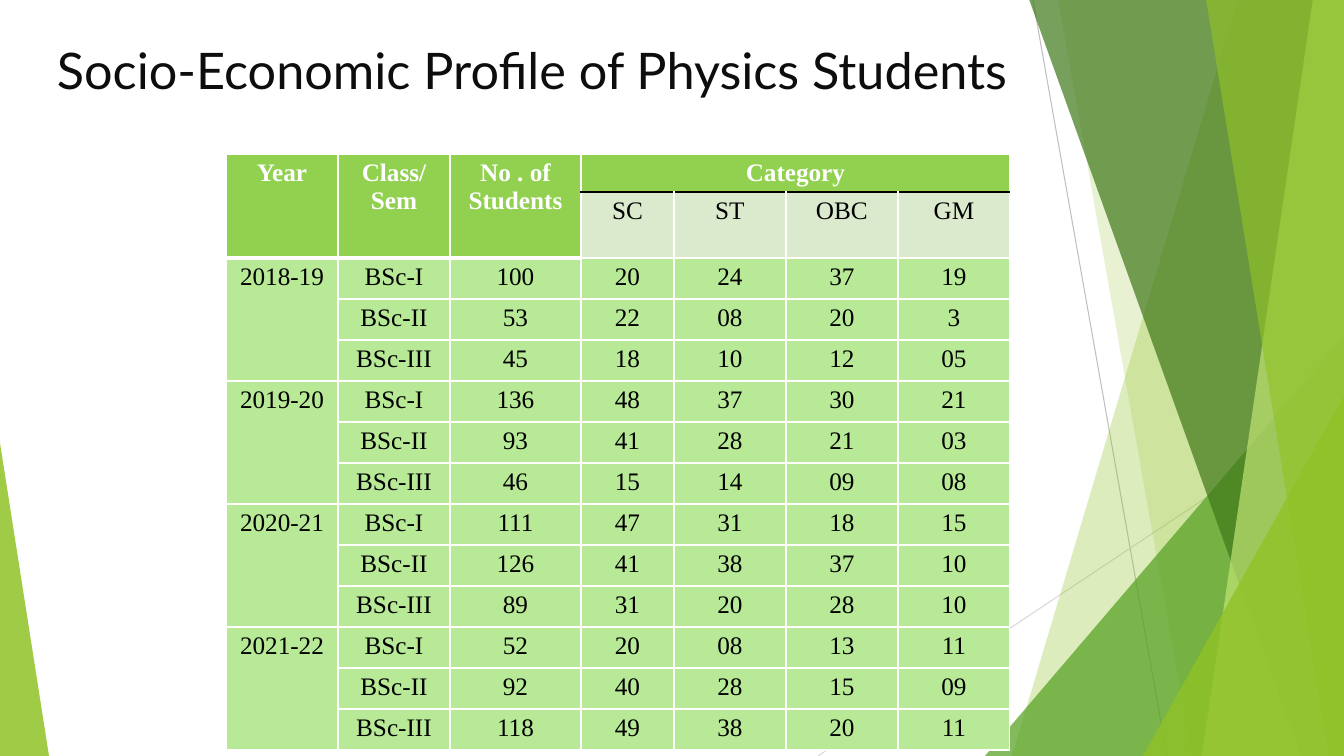
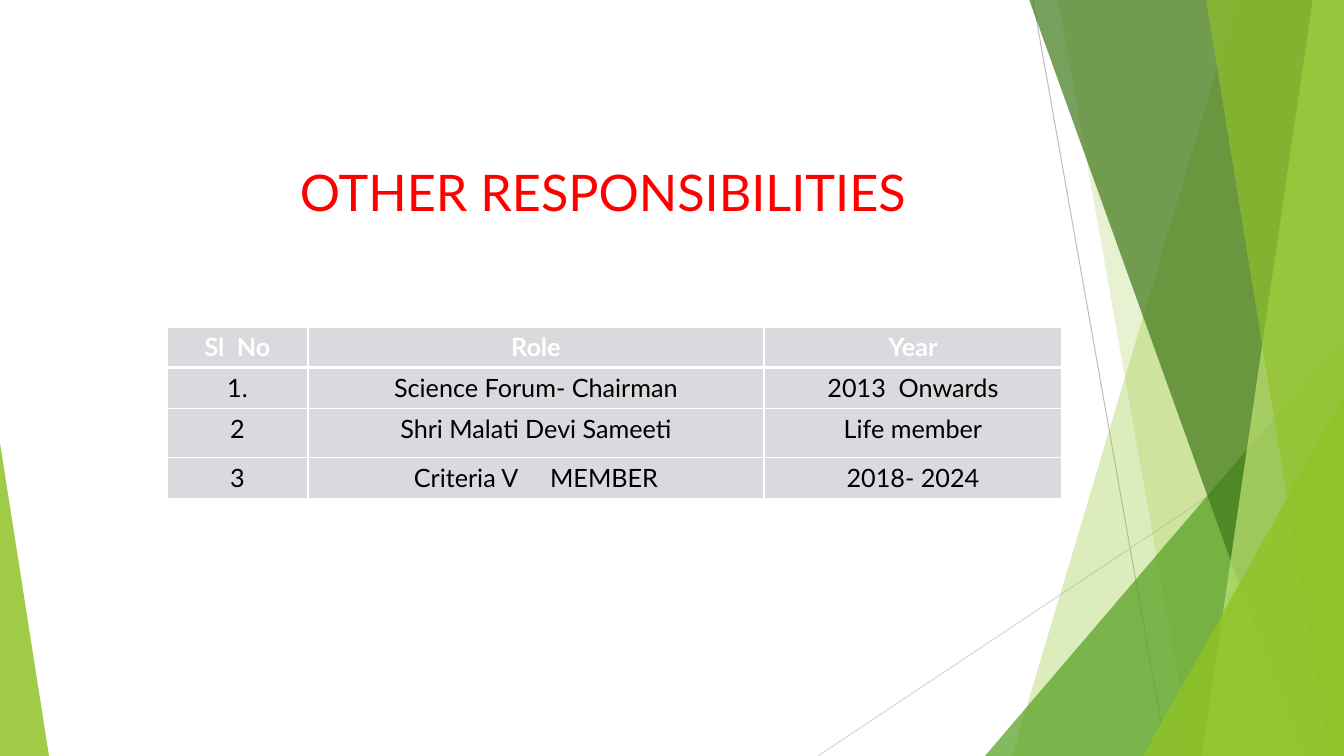
"""Builds two slides, a student profile and a list of responsibilities, on a shared green layout."""
from dataclasses import dataclass

from pptx import Presentation
from pptx.dml.color import RGBColor
from pptx.enum.shapes import MSO_CONNECTOR as Connector, MSO_SHAPE as Preset
from pptx.enum.text import MSO_ANCHOR as Anchor, MSO_AUTO_SIZE as AutoSize, PP_ALIGN as Align
from pptx.oxml.ns import qn
from pptx.oxml.xmlchemy import OxmlElement
from pptx.util import Pt

PX = 914400 / 100.8
WIDTH, HEIGHT = 1344, 756


@dataclass(frozen=True)
class Theme:
    white: str = "FFFFFF"
    black: str = "000000"
    ink: str = "0D0D0D"
    red: str = "FF0000"
    lime: str = "90C226"
    leaf: str = "54A021"
    forest: str = "3F7819"
    pale_lime: str = "C0E474"
    header_green: str = "92D050"
    category_green: str = "DBE9CD"
    body_green: str = "B7E996"
    grey: str = "DAD9DD"
    sans: str = "Lato"
    serif: str = "Times New Roman"
    title_size: int = 36
    table_size: int = 18
    thin: int = 1
    thick: int = 3
    hairline: float = 0.75


THEME = Theme()

RAYS = [
    ((1033, 0), (1167, HEIGHT), "BFBFBF"),
    ((WIDTH, 406), (818, HEIGHT), "D9D9D9"),
]
FACETS = [
    ("ribbon", (1238, 1012), THEME.lime, 30),
    ("ribbon", (1058, 1192), THEME.lime, 20),
    ("right corner", (985, 336, 359, 420), THEME.leaf, 72),
    ("ribbon", (1029, 1301), THEME.forest, 70),
    ("ribbon", (1313, 1202), THEME.pale_lime, 70),
    ("ribbon", (1206, 1329), THEME.lime, 65),
    ("right corner", (1143, 396, 201, 360), THEME.lime, 80),
    ("left corner", (0, 443, 49, 313), THEME.lime, 85),
]

CLASSES = ["BSc-I", "BSc-II", "BSc-III"]
STUDENTS = {
    "2018-19": ["100 20 24 37 19", "53 22 08 20 3", "45 18 10 12 05"],
    "2019-20": ["136 48 37 30 21", "93 41 28 21 03", "46 15 14 09 08"],
    "2020-21": ["111 47 31 18 15", "126 41 38 37 10", "89 31 20 28 10"],
    "2021-22": ["52 20 08 13 11", "92 40 28 15 09", "118 49 38 20 11"],
}
PROFILE_HEAD = [
    ["Year", "Class/ Sem", "No . of Students", "Category", "", "", ""],
    ["", "", "", "SC", "ST", "OBC", "GM"],
]
PROFILE = {
    "title": "Socio-Economic Profile of Physics Students",
    "title_box": (47, 34, 1012, 77),
    "title_color": THEME.ink,
    "title_inset": 10,
    "table_at": (226, 154),
    "columns": [112, 112, 131, 93, 112, 112, 112],
    "heights": [38, 66] + [41] * 12,
    "rows": PROFILE_HEAD + [
        [year if i == 0 else "", CLASSES[i]] + counts.split()
        for year, terms in STUDENTS.items() for i, counts in enumerate(terms)
    ],
    "merges": [(0, column, 1, column) for column in range(3)] + [(0, 3, 0, 6)]
    + [(row, 0, row + 2, 0) for row in range(2, 14, 3)],
    "head_rows": 2,
    "sub_head_from": 3,
    "font": THEME.serif,
    "head_fill": THEME.header_green,
    "body_fill": THEME.body_green,
}
RESPONSIBILITIES = {
    "title": "OTHER RESPONSIBILITIES",
    "title_box": (163, 156, 917, 82),
    "title_color": THEME.red,
    "title_inset": 137,
    "table_at": (167, 327),
    "columns": [141, 456, 298],
    "heights": [39, 41, 49, 41],
    "rows": [
        [("Sl", 4.5, "No"), "Role", "Year"],
        ["1.", "Science Forum- Chairman", ("2013", 4.5, "Onwards")],
        ["2", "Shri Malati Devi Sameeti", "Life member"],
        ["3", ("Criteria V", 18, "MEMBER"), "2018- 2024"],
    ],
    "merges": [],
    "head_rows": 1,
    "sub_head_from": None,
    "font": THEME.sans,
    "head_fill": THEME.grey,
    "body_fill": THEME.grey,
}


def px(*lengths):
    return [round(length * PX) for length in lengths]


def rgb(color):
    return RGBColor.from_string(color)


def apply(target, formats):
    for key, value in formats.items():
        setattr(target, key, value)


def style_font(font, name, size, color, bold=False):
    apply(font, {"name": name, "size": Pt(size), "bold": bold})
    font.color.rgb = rgb(color)


def add_ray(shapes, start, end, color):
    ray = shapes.add_connector(Connector.STRAIGHT, *px(*start, *end))
    ray.line.color.rgb = rgb(color)
    ray.line.width = Pt(THEME.hairline)
    ray.element.spPr.append(OxmlElement("a:effectLst"))


def add_facet(shapes, kind, place, color, opacity):
    if kind == "ribbon":
        top, bottom = place
        outline = shapes.build_freeform(top, -1, scale=PX)
        outline.add_line_segments([(WIDTH, -1), (WIDTH, HEIGHT), (bottom, HEIGHT)], close=True)
        facet = outline.convert_to_shape()
    else:
        facet = shapes.add_shape(Preset.ISOSCELES_TRIANGLE, *px(*place))
        facet.adjustments[0] = 1 if kind == "right corner" else 0
    facet.shadow.inherit = False
    facet.line.fill.background()
    facet.fill.solid()
    facet.fill.fore_color.rgb = rgb(color)
    alpha = OxmlElement("a:alpha")
    alpha.set("val", str(opacity * 1000))
    facet.element.spPr.find(qn("a:solidFill"))[0].append(alpha)


def decorate_layout(layout, slide):
    """Draws the backdrop on a slide and moves it behind the layout placeholders."""
    kept = set(slide.shapes.element)
    for ray in RAYS:
        add_ray(slide.shapes, *ray)
    for facet in FACETS:
        add_facet(slide.shapes, *facet)
    backdrop = [part for part in slide.shapes.element if part not in kept]
    for i, part in enumerate(backdrop):
        part.xpath(".//p:cNvPr")[0].set("id", str(100 + i))
        layout.shapes.element.insert(2 + i, part)


def fill_title(title, content):
    left, top, width, height = px(*content["title_box"])
    apply(title, {"left": left, "top": top, "width": width, "height": height})
    frame = title.text_frame
    frame.text = content["title"]
    apply(frame, {"word_wrap": True, "auto_size": AutoSize.NONE, "vertical_anchor": Anchor.TOP,
                  "margin_left": px(content["title_inset"])[0]})
    frame.paragraphs[0].alignment = Align.LEFT
    style_font(frame.paragraphs[0].runs[0].font, THEME.sans, THEME.title_size, content["title_color"])


def add_borders(cell, edges):
    for side, (color, width) in edges.items():
        edge = OxmlElement("a:ln" + side)
        edge.set("w", str(Pt(width)))
        fill, tint = OxmlElement("a:solidFill"), OxmlElement("a:srgbClr")
        tint.set("val", color)
        fill.append(tint)
        edge.append(fill)
        cell._tc.get_or_add_tcPr().append(edge)


def write_cell(cell, text, *font_format):
    paragraph = cell.text_frame.paragraphs[0]
    paragraph.alignment = Align.CENTER
    first, gap, second = text if isinstance(text, tuple) else (text, 0, "")
    for words in (first, " ", second) if gap else (first,):
        run = paragraph.add_run()
        run.text = words
        style_font(run.font, *font_format)
        if words == " ":
            run.font._element.set("spc", str(round(gap * 100)))


def cell_look(content, row, column):
    """Returns the fill, text colour, boldness and borders for one table position."""
    head_rows, sub_from = content["head_rows"], content["sub_head_from"]
    under_category = sub_from is not None and column >= sub_from
    edges = dict.fromkeys("LRTB", (THEME.white, THEME.thin))
    if row >= head_rows:
        if row == head_rows and not under_category:
            edges["T"] = (THEME.white, THEME.thick)
        return content["body_fill"], THEME.black, False, edges
    if under_category:
        edges["B" if row == 0 else "T"] = (THEME.black, THEME.thin)
        if row > 0:
            return THEME.category_green, THEME.black, False, edges
    else:
        edges["B"] = (THEME.white, THEME.thick)
    return content["head_fill"], THEME.white, True, edges


def add_grid(shapes, content):
    columns, heights, rows = content["columns"], content["heights"], content["rows"]
    box = px(*content["table_at"], sum(columns), sum(heights))
    table = shapes.add_table(len(rows), len(columns), *box).table
    table.horz_banding = False
    for column, width in zip(table.columns, px(*columns)):
        column.width = width
    for row, height in zip(table.rows, px(*heights)):
        row.height = height
    for r, texts in enumerate(rows):
        for c, text in enumerate(texts):
            cell = table.cell(r, c)
            fill, color, bold, edges = cell_look(content, r, c)
            add_borders(cell, edges)
            cell.fill.solid()
            cell.fill.fore_color.rgb = rgb(fill)
            if text:
                write_cell(cell, text, content["font"], THEME.table_size, color, bold)
    for top, left, bottom, right in content["merges"]:
        table.cell(top, left).merge(table.cell(bottom, right))


def main():
    deck = Presentation()
    deck.slide_width, deck.slide_height = px(WIDTH, HEIGHT)
    layout = deck.slide_layouts.get_by_name("Title Only")
    for content in (PROFILE, RESPONSIBILITIES):
        slide = deck.slides.add_slide(layout)
        if content is PROFILE:
            decorate_layout(layout, slide)
        fill_title(slide.shapes.title, content)
        add_grid(slide.shapes, content)
    deck.save("out.pptx")


if __name__ == "__main__":
    main()
